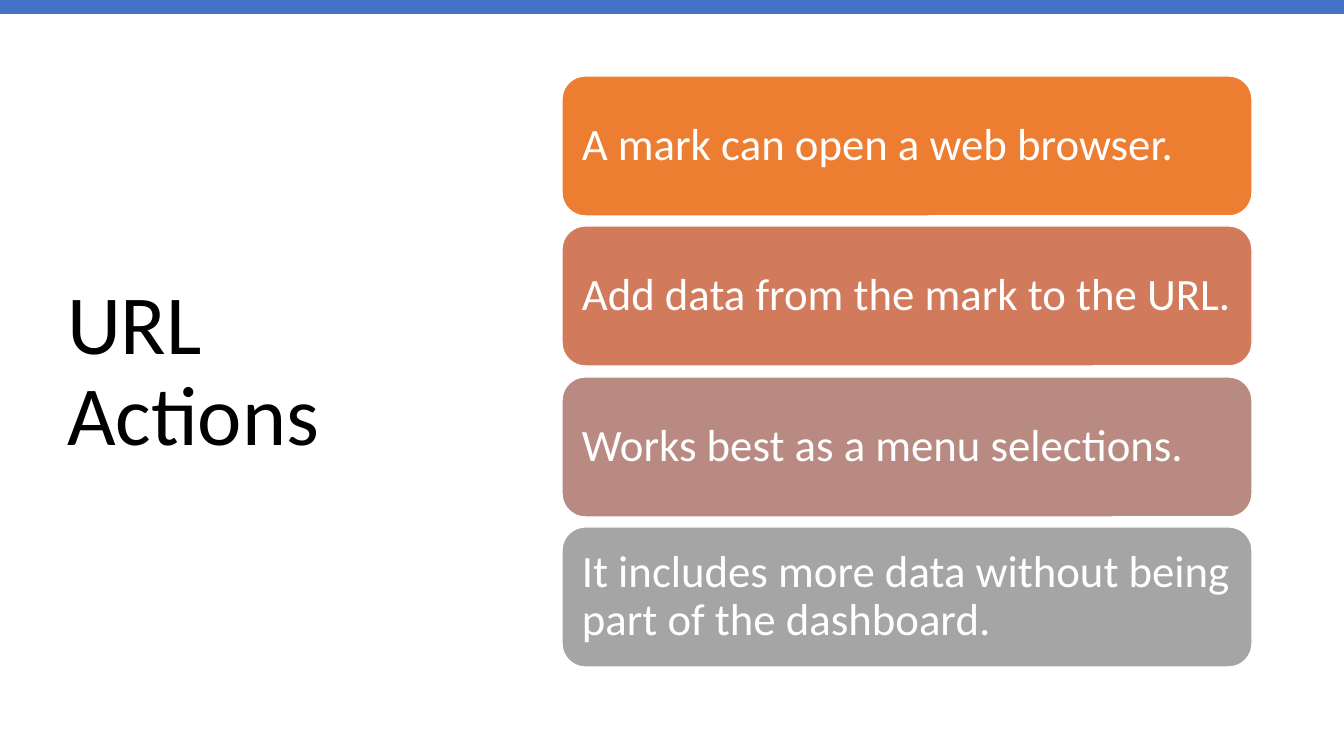
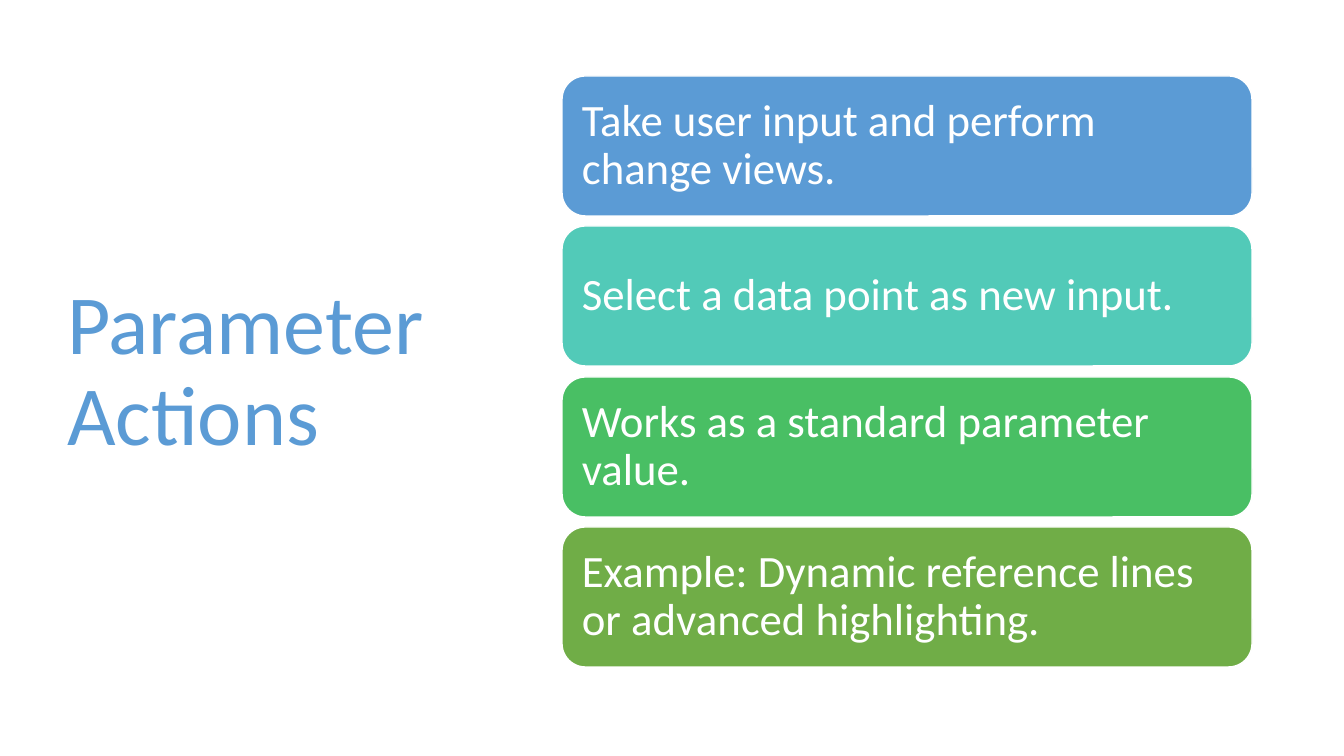
from pptx import Presentation
from pptx.dml.color import RGBColor
from pptx.enum.shapes import MSO_SHAPE
from pptx.enum.text import MSO_ANCHOR, MSO_AUTO_SIZE, PP_ALIGN
from pptx.util import Emu, Pt

RECTANGLE = MSO_SHAPE.RECTANGLE
ROUNDED_RECTANGLE = MSO_SHAPE.ROUNDED_RECTANGLE
MIDDLE = MSO_ANCHOR.MIDDLE
LEFT = PP_ALIGN.LEFT
NO_AUTOFIT = MSO_AUTO_SIZE.NONE

BLACK = RGBColor(0x00, 0x00, 0x00)
WHITE = RGBColor(0xFF, 0xFF, 0xFF)
BAND_BLUE = RGBColor(0x44, 0x72, 0xC4)
ORANGE = RGBColor(0xED, 0x7D, 0x31)
TERRACOTTA = RGBColor(0xD1, 0x7B, 0x5C)
DUSTY_ROSE = RGBColor(0xB9, 0x8A, 0x82)
GRAY = RGBColor(0xA5, 0xA5, 0xA5)
SKY_BLUE = RGBColor(0x5B, 0x9B, 0xD5)
TEAL = RGBColor(0x52, 0xCA, 0xB8)
GREEN = RGBColor(0x49, 0xBF, 0x64)
OLIVE = RGBColor(0x70, 0xAD, 0x47)

FONT = "Calibri"
TITLE_SIZE = 60
CARD_SIZE = 32
LINE_SPACING = 0.9
PIXELS_PER_INCH = 100.8
SLIDE_WIDTH, SLIDE_HEIGHT = 1344, 756
TITLE_BOX = (57, 69, 419, 607)
BAND_HEIGHT = 14
CARD_LEFT, CARD_WIDTH, CARD_HEIGHT = 562, 690, 140
STACK_TOP, STACK_HEIGHT = 76, 591
CARD_INSET = 13
TITLE_ONLY = 5


def pixels(length):
    """Turn whole pixels into EMU."""
    return Emu(round(length * 914400 / PIXELS_PER_INCH))


class Deck:
    """Holds the shared style and the current slide."""

    def __init__(self):
        """Start an empty widescreen presentation."""
        self.presentation = Presentation()
        self.presentation.slide_width = pixels(SLIDE_WIDTH)
        self.presentation.slide_height = pixels(SLIDE_HEIGHT)
        self.slide = None

    def set_text(self, shape, text, size, color):
        """Put left-aligned, vertically centred text in a shape."""
        frame = shape.text_frame
        frame.text = text
        frame.word_wrap = True
        frame.auto_size = NO_AUTOFIT
        frame.vertical_anchor = MIDDLE
        paragraph = frame.paragraphs[0]
        paragraph.alignment = LEFT
        paragraph.line_spacing = LINE_SPACING
        paragraph.font.name = FONT
        paragraph.font.size = Pt(size)
        paragraph.font.color.rgb = color

    def start_slide(self, title, color):
        """Add a slide with its title on the left."""
        layout = self.presentation.slide_layouts[TITLE_ONLY]
        self.slide = self.presentation.slides.add_slide(layout)
        shape = self.slide.shapes.title
        shape.left, shape.top, shape.width, shape.height = map(pixels, TITLE_BOX)
        self.set_text(shape, title, TITLE_SIZE, color)

    def block(self, kind, left, top, width, height, fill):
        """Add a flat filled shape without an outline."""
        shape = self.slide.shapes.add_shape(
            kind, *map(pixels, (left, top, width, height)))
        shape.shadow.inherit = False
        shape.fill.solid()
        shape.fill.fore_color.rgb = fill
        shape.line.fill.background()
        return shape

    def band(self, color):
        """Add the band along the top edge."""
        self.block(RECTANGLE, 0, 0, SLIDE_WIDTH, BAND_HEIGHT, color)

    def card(self, top, text, fill):
        """Add one rounded card with a thin white outline."""
        card = self.block(ROUNDED_RECTANGLE, CARD_LEFT, top,
                          CARD_WIDTH, CARD_HEIGHT, fill)
        card.line.color.rgb = WHITE
        card.line.width = Pt(1)
        frame = card.text_frame
        frame.margin_left = frame.margin_right = pixels(CARD_INSET)
        frame.margin_top = frame.margin_bottom = pixels(CARD_INSET)
        self.set_text(card, text, CARD_SIZE, WHITE)

    def card_stack(self, cards):
        """Spread cards evenly over the height of the stack."""
        pitch = (STACK_HEIGHT - CARD_HEIGHT) / (len(cards) - 1)
        for index, (text, fill) in enumerate(cards):
            self.card(STACK_TOP + round(index * pitch), text, fill)


def build_url_actions(deck):
    """Build the slide on URL actions."""
    deck.start_slide("URL Actions", BLACK)
    deck.band(BAND_BLUE)
    deck.card_stack([
        ("A mark can open a web browser.", ORANGE),
        ("Add data from the mark to the URL.", TERRACOTTA),
        ("Works best as a menu selections.", DUSTY_ROSE),
        ("It includes more data without being part of the dashboard.", GRAY),
    ])


def build_parameter_actions(deck):
    """Build the slide on parameter actions."""
    deck.start_slide("Parameter Actions", SKY_BLUE)
    deck.card_stack([
        ("Take user input and perform change views.", SKY_BLUE),
        ("Select a data point as new input.", TEAL),
        ("Works as a standard parameter value.", GREEN),
        ("Example: Dynamic reference lines or advanced highlighting.", OLIVE),
    ])


deck = Deck()
build_url_actions(deck)
build_parameter_actions(deck)
deck.presentation.save("out.pptx")
